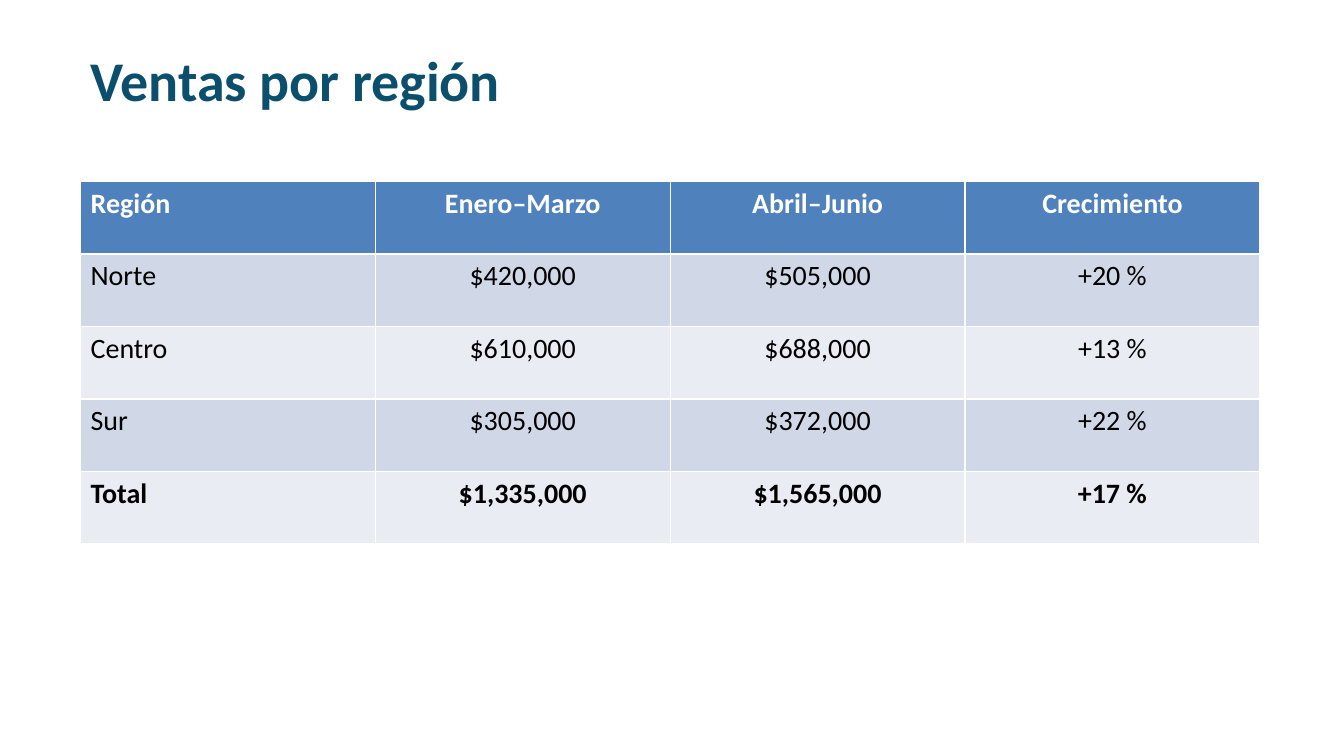
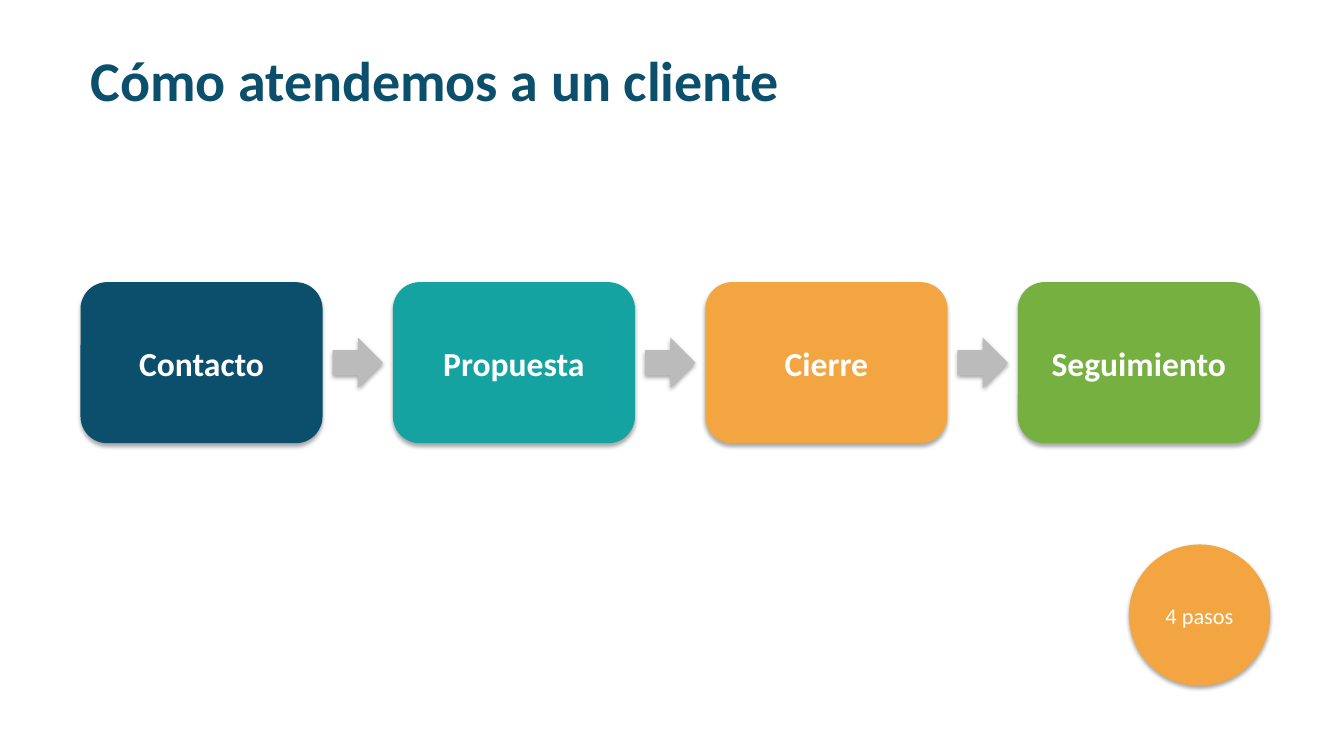
"""Build two slides: a table of sales by region and a four-step client process."""
from dataclasses import dataclass
from pptx import Presentation
from pptx.dml.color import RGBColor
from pptx.enum.shapes import MSO_SHAPE
from pptx.enum.text import MSO_ANCHOR, MSO_AUTO_SIZE, PP_ALIGN
from pptx.util import Cm, Pt


@dataclass(frozen=True)
class Theme:
    font: str = "Calibri"
    navy: str = "0B4F6C"
    teal: str = "14A3A1"
    amber: str = "F2A541"
    green: str = "76B041"
    gray: str = "BBBBBB"
    white: str = "FFFFFF"
    black: str = "000000"
    head: str = "4F81BD"
    bands: tuple = ("E9ECF3", "D0D8E7")
    title: int = 40
    step: int = 24
    cell: int = 20
    badge: int = 16


theme = Theme()
left, width = 2.03, 29.72


def write(frame, text, size, color=theme.white, bold=False, align=PP_ALIGN.CENTER):
    par = frame.paragraphs[0]
    par.alignment = align
    run = par.add_run()
    run.text = text
    run.font.name = theme.font
    run.font.size = Pt(size)
    run.font.bold = bold
    run.font.color.rgb = RGBColor.from_string(color)


def draw(slide, kind, x, y, w, h, color):
    shape = slide.shapes.add_shape(kind, Cm(x), Cm(y), Cm(w), Cm(h))
    shape.fill.solid()
    shape.fill.fore_color.rgb = RGBColor.from_string(color)
    shape.line.fill.background()
    shape.text_frame.word_wrap = True
    shape.text_frame.vertical_anchor = MSO_ANCHOR.MIDDLE
    return shape


deck = Presentation()
deck.slide_width, deck.slide_height = Cm(33.87), Cm(19.05)

slides = []
for title in ("Ventas por región", "Cómo atendemos a un cliente"):
    slide = deck.slides.add_slide(deck.slide_layouts[6])
    box = slide.shapes.add_textbox(Cm(left), Cm(1.02), Cm(width), Cm(1.96))
    box.text_frame.word_wrap = True
    box.text_frame.auto_size = MSO_AUTO_SIZE.SHAPE_TO_FIT_TEXT
    write(box.text_frame, title, theme.title, theme.navy, bold=True, align=PP_ALIGN.LEFT)
    slides.append(slide)
sales, process = slides

rows = [
    ("Región", "Enero–Marzo", "Abril–Junio", "Crecimiento"),
    ("Norte", "$420,000", "$505,000", "+20 %"),
    ("Centro", "$610,000", "$688,000", "+13 %"),
    ("Sur", "$305,000", "$372,000", "+22 %"),
    ("Total", "$1,335,000", "$1,565,000", "+17 %"),
]
last = len(rows) - 1
table = sales.shapes.add_table(
    len(rows), len(rows[0]), Cm(left), Cm(4.57), Cm(width), Cm(9.14)
).table
for r, row in enumerate(rows):
    for c, text in enumerate(row):
        cell = table.cell(r, c)
        cell.fill.solid()
        fill = theme.bands[r % 2] if r else theme.head
        cell.fill.fore_color.rgb = RGBColor.from_string(fill)
        write(
            cell.text_frame, text, theme.cell,
            color=theme.black if r else theme.white,
            bold=r in (0, last),
            align=PP_ALIGN.CENTER if c else PP_ALIGN.LEFT,
        )

steps = [
    ("Contacto", theme.navy),
    ("Propuesta", theme.teal),
    ("Cierre", theme.amber),
    ("Seguimiento", theme.green),
]
top, wide, high = 7.11, 6.1, 4.06
arrow, gap = 1.27, 0.25
pitch = (width - wide) / (len(steps) - 1)
for i, (text, color) in enumerate(steps):
    x = left + i * pitch
    if i:
        draw(process, MSO_SHAPE.RIGHT_ARROW, x - gap - arrow,
             top + (high - arrow) / 2, arrow, arrow, theme.gray)
    card = draw(process, MSO_SHAPE.ROUNDED_RECTANGLE, x, top, wide, high, color)
    write(card.text_frame, text, theme.step, bold=True)

badge = draw(process, MSO_SHAPE.OVAL, 28.45, 13.72, 3.56, 3.56, theme.amber)
write(badge.text_frame, "4 pasos", theme.badge)

deck.save("out.pptx")
